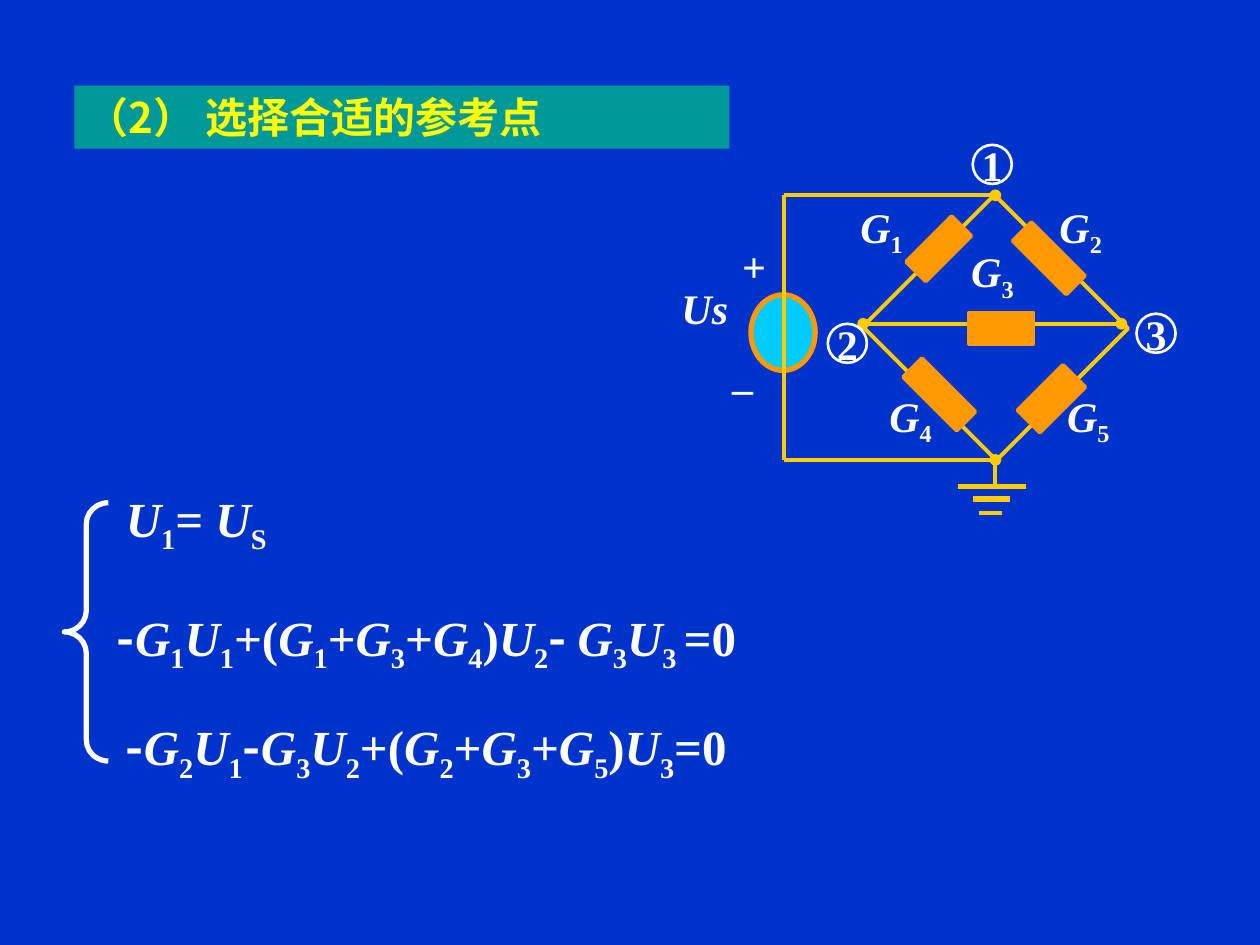
from itertools import groupby

from lxml import etree
from pptx import Presentation
from pptx.dml.color import RGBColor
from pptx.enum.shapes import MSO_CONNECTOR, MSO_SHAPE
from pptx.enum.text import MSO_ANCHOR, MSO_AUTO_SIZE, PP_ALIGN
from pptx.oxml.ns import qn
from pptx.util import Inches, Pt

RECTANGLE, OVAL, BRACE = MSO_SHAPE.RECTANGLE, MSO_SHAPE.OVAL, MSO_SHAPE.LEFT_BRACE
STRAIGHT = MSO_CONNECTOR.STRAIGHT
LEFT, CENTER = PP_ALIGN.LEFT, PP_ALIGN.CENTER
TOP, MIDDLE = MSO_ANCHOR.TOP, MSO_ANCHOR.MIDDLE
FIT = MSO_AUTO_SIZE.SHAPE_TO_FIT_TEXT

COLORS = {
    "background": "0033CC", "banner": "009999", "title": "FFFF00",
    "text": "FFFFFF", "wire": "FFCC00", "resistor": "FF9900", "source": "00CCFF",
}
SERIF, SANS = "Times New Roman", "Noto Sans CJK SC"


def color(name):
    return RGBColor.from_string(COLORS[name])


def formula_runs(formula):
    """Split a formula into (text, kind); "~" makes the next character a subscript."""
    marked, kind, lowered = [], "plain", False
    for char in formula:
        if char == "~":
            lowered = True
            continue
        if lowered:
            kind = "sub"
        elif char == "-":
            kind = "minus"
        elif char.isalpha():
            kind = "italic"
        elif char != " ":
            kind = "plain"
        marked.append((char, kind))
        lowered = False
    for kind, group in groupby(marked, key=lambda pair: pair[1]):
        yield "".join(char for char, _ in group), kind


class CircuitSlide:
    def __init__(self, deck):
        self.page = deck.slides.add_slide(deck.slide_layouts[6])
        fill = self.page.background.fill
        fill.solid()
        fill.fore_color.rgb = color("background")

    def span(self, para, text, size, font=SERIF, ink="text", kind="plain"):
        span = para.add_run()
        span.text = text
        span.font.size = Pt(size)
        span.font.name = font
        span.font.bold = True
        span.font.italic = kind == "italic"
        span.font.color.rgb = color(ink)
        properties = span.font._element
        etree.SubElement(properties, qn("a:ea")).set("typeface", font)
        if kind == "sub":
            properties.set("baseline", "-25000")

    def frame(self, box, wrap, align=LEFT, anchor=TOP):
        frame = box.text_frame
        frame.word_wrap = wrap
        frame.vertical_anchor = anchor
        para = frame.paragraphs[0]
        para.alignment = align
        return para

    def formula(self, x, y, width, height, text, size=24, wrap=True):
        box = self.page.shapes.add_textbox(*map(Inches, (x, y, width, height)))
        para = self.frame(box, wrap)
        box.text_frame.auto_size = FIT
        for part, kind in formula_runs(text):
            self.span(para, part, size, SANS if kind == "minus" else SERIF, kind=kind)

    def sign(self, x, y, width, text, wrap):
        box = self.page.shapes.add_textbox(*map(Inches, (x, y, width, 0.5)))
        para = self.frame(box, wrap, CENTER, MIDDLE)
        box.text_frame.auto_size = FIT
        self.span(para, text, 24)

    def shape(self, kind, x, y, width, height, fill=None, line=None, weight=2.25, turn=0):
        shape = self.page.shapes.add_shape(kind, *map(Inches, (x, y, width, height)))
        shape.shadow.inherit = False
        shape.rotation = turn
        if fill:
            shape.fill.solid()
            shape.fill.fore_color.rgb = color(fill)
        else:
            shape.fill.background()
        if line:
            shape.line.color.rgb = color(line)
            shape.line.width = Pt(weight)
        else:
            shape.line.fill.background()
        return shape

    def banner(self, x, y, width, height, text):
        box = self.shape(RECTANGLE, x, y, width, height, "banner")
        self.span(self.frame(box, True), text, 24, SANS, "title")

    def resistor(self, x, y, width, height, turn):
        self.shape(RECTANGLE, x, y, width, height, "resistor", "resistor", turn=turn)

    def node(self, x, y, number):
        circle = self.shape(OVAL, x, y, 0.31, 0.31, line="text", weight=1.5)
        self.span(self.frame(circle, False, CENTER, MIDDLE), number, 24)

    def wire(self, x1, y1, x2, y2, weight=2.25, dots=()):
        wire = self.page.shapes.add_connector(STRAIGHT, *map(Inches, (x1, y1, x2, y2)))
        wire.line.color.rgb = color("wire")
        wire.line.width = Pt(weight)
        line = wire.line._ln
        for end in dots:
            etree.SubElement(line, qn("a:" + end)).set("type", "oval")
        etree.SubElement(wire._element.spPr, qn("a:effectLst"))


def main():
    deck = Presentation()
    deck.slide_width, deck.slide_height = Inches(10), Inches(7.5)
    slide = CircuitSlide(deck)

    # Title and node equations
    slide.banner(0.59, 0.68, 5.2, 0.5, "（2） 选择合适的参考点")
    for x, y, width, text in (
        (0.9, 3.83, 3.62, "U~1= U~S"),
        (0.83, 4.77, 7.48, "-G~1U~1+(G~1+G~3+G~4)U~2- G~3U~3 =0"),
        (0.9, 5.64, 7.4, "-G~2U~1-G~3U~2+(G~2+G~3+G~5)U~3=0"),
    ):
        slide.formula(x, y, width, 0.57, text, 28)
    brace = slide.shape(BRACE, 0.51, 3.99, 0.35, 2.05, line="text", weight=3)
    brace.adjustments[0], brace.adjustments[1] = 0.48, 0.5

    # Bridge: square of wires with a resistor on each side
    slide.shape(RECTANGLE, 7.15, 1.86, 1.5, 1.48, line="wire", turn=45)
    for place in (
        (7.34, 1.72, 0.22, 0.51, 45), (8.22, 1.75, 0.21, 0.6, 315),
        (7.35, 2.83, 0.21, 0.6, 315), (8.22, 2.91, 0.25, 0.51, 45),
    ):
        slide.resistor(*place)

    # Ground symbol below the reference node
    center = 7.9
    for x1, x2, y, weight in (
        (7.6, 8.14, 3.86, 3), (7.72, 8.02, 3.96, 3), (7.77, 7.95, 4.07, 2.25),
    ):
        slide.wire(x1, y, x2, y, weight)
    slide.wire(center, 3.63, center, 3.88)

    # Voltage source loop
    left, top, bottom = 6.22, 1.55, 3.65
    for y in (bottom, top):
        slide.wire(center, y, left, y, dots=["headEnd"])
    slide.wire(left, top, left, bottom)
    slide.shape(OVAL, 5.96, 2.34, 0.51, 0.6, "source", "resistor", 3)
    slide.wire(left, top + 0.3, left, bottom - 0.3)
    slide.formula(5.31, 2.19, 0.59, 0.5, "Us")
    slide.sign(5.79, 1.86, 0.39, "+", False)
    slide.sign(5.71, 2.71, 0.37, "_", True)

    # Middle branch
    slide.wire(6.85, 2.57, 8.9, 2.57, dots=["headEnd", "tailEnd"])
    slide.resistor(7.82, 2.35, 0.25, 0.51, 270)

    # Conductance labels and node numbers
    labels = ((6.73, 1.55), (8.31, 1.55), (7.61, 1.9), (6.96, 3.05), (8.37, 3.05))
    for number, (x, y) in enumerate(labels, 1):
        slide.formula(x, y, 0.55, 0.5, f"G~{number}", wrap=False)
    for number, (x, y) in enumerate(((7.72, 1.15), (6.57, 2.57), (9.02, 2.49)), 1):
        slide.node(x, y, str(number))

    deck.save("out.pptx")


if __name__ == "__main__":
    main()
